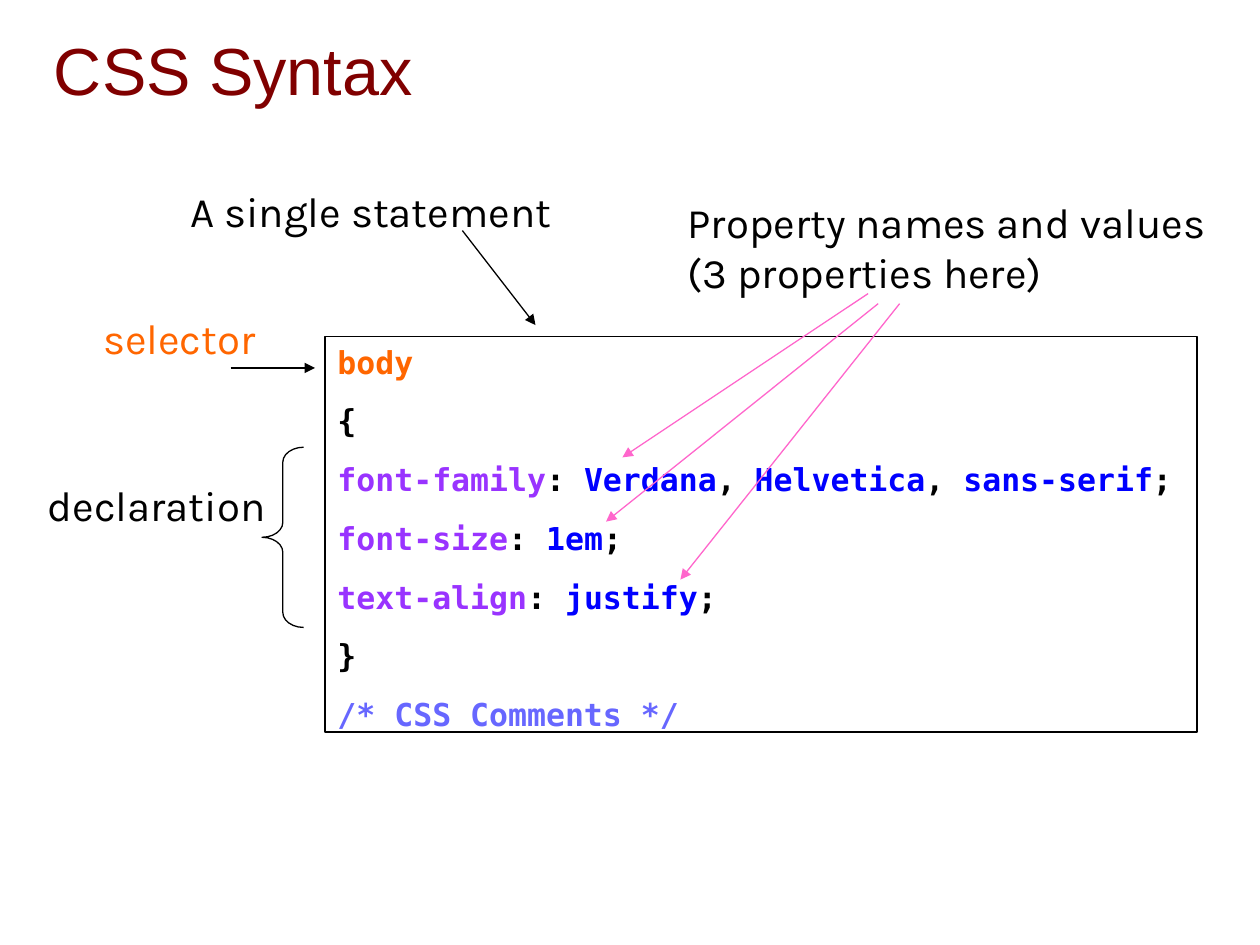
import pptx
import pptx.util
import pptx.dml.color
import pptx.enum.shapes
import pptx.enum.text
import pptx.oxml
import pptx.oxml.ns

Inches, Pt = pptx.util.Inches, pptx.util.Pt
RGB = pptx.dml.color.RGBColor
Kind = pptx.enum.shapes.MSO_SHAPE
Fit = pptx.enum.text.MSO_AUTO_SIZE

BLACK = RGB(0x00, 0x00, 0x00)
WHITE = RGB(0xFF, 0xFF, 0xFF)
MAROON = RGB(0x80, 0x00, 0x00)
ORANGE = RGB(0xFF, 0x66, 0x00)
PURPLE = RGB(0x99, 0x33, 0xFF)
BLUE = RGB(0x00, 0x00, 0xFF)
LILAC = RGB(0x67, 0x67, 0xFF)
PINK = RGB(0xFF, 0x66, 0xCC)

deck = pptx.Presentation()
deck.slide_width, deck.slide_height = Inches(10), Inches(7.5)
slide = deck.slides.add_slide(deck.slide_layouts[6])
shapes = slide.shapes


def label(text, place, size, face, color, wrap=True):
    box = shapes.add_textbox(*map(Inches, place))
    frame = box.text_frame
    frame.word_wrap = wrap
    frame.text = text
    font = frame.paragraphs[0].runs[0].font
    font.size, font.name = Pt(size), face
    font.color.rgb = color
    return frame


def arrow(start, end, color):
    line = shapes.add_connector(
        pptx.enum.shapes.MSO_CONNECTOR.STRAIGHT, *map(Inches, start + end))
    line.line.width = Pt(0.75)
    line.line.color.rgb = color
    ln = line.line._get_or_add_ln()
    tip = pptx.oxml.parse_xml(
        '<a:tailEnd %s type="triangle"/>' % pptx.oxml.ns.nsdecls("a"))
    ln.append(tip)
    ln.addnext(pptx.oxml.parse_xml(
        "<a:effectLst %s/>" % pptx.oxml.ns.nsdecls("a")))


# Title
title = label("CSS Syntax", (0.33, 0.18, 9.42, 0.74), 38, "Arial", MAROON)
title.vertical_anchor = pptx.enum.text.MSO_ANCHOR.MIDDLE

# Code panel: each line is a list of coloured pieces
code = [
    [("body", ORANGE)],
    [("{", BLACK)],
    [("font-family", PURPLE), (": ", BLACK), ("Verdana", BLUE), (", ", BLACK),
     ("Helvetica", BLUE), (", ", BLACK), ("sans-serif", BLUE), (";", BLACK)],
    [("font-size", PURPLE), (": ", BLACK), ("1em", BLUE), (";", BLACK)],
    [("text-align", PURPLE), (": ", BLACK), ("justify", BLUE), (";", BLACK)],
    [("}", BLACK)],
    [("/* CSS Comments */", LILAC)],
]
panel = shapes.add_shape(
    Kind.RECTANGLE, *map(Inches, (2.58, 2.67, 6.92, 3.14)))
panel.shadow.inherit = False
panel.fill.solid()
panel.fill.fore_color.rgb = WHITE
panel.line.color.rgb = BLACK
panel.line.width = Pt(0.75)
frame = panel.text_frame
frame.word_wrap = True
frame.vertical_anchor = pptx.enum.text.MSO_ANCHOR.TOP
for row, parts in enumerate(code):
    para = frame.add_paragraph() if row else frame.paragraphs[0]
    para.alignment = pptx.enum.text.PP_ALIGN.LEFT
    para.space_before = Pt(12 if row else 0)
    for text, color in parts:
        run = para.add_run()
        run.text = text
        run.font.name, run.font.size = "DejaVu Sans Mono", Pt(18)
        run.font.bold = True
        run.font.color.rgb = color

# Brace beside the declaration lines
brace = shapes.add_shape(
    Kind.LEFT_BRACE, *map(Inches, (2.08, 3.55, 0.33, 1.43)))
brace.shadow.inherit = False
brace.adjustments[0] = 0.36
brace.fill.background()
brace.line.color.rgb = BLACK
brace.line.width = Pt(0.75)

# Labels
for text, place, color, wrap in [
    ("A single statement", (1.41, 1.42, 3.12, 0.5), BLACK, False),
    ("selector", (0.72, 2.43, 1.44, 0.5), ORANGE, False),
    ("declaration", (0.28, 3.76, 1.96, 0.5), BLACK, False),
    ("Property names and values (3 properties here)",
     (5.36, 1.51, 4.5, 0.9), BLACK, True),
]:
    note = label(text, place, 24, "Karla", color, wrap)
    note.auto_size = Fit.SHAPE_TO_FIT_TEXT

# Arrows from the labels into the code
for start, end, color in [
    ((3.67, 1.83), (4.25, 2.58), BLACK),
    ((1.83, 2.92), (2.5, 2.92), BLACK),
    ((7.14, 2.41), (5.4, 4.6), PINK),
    ((6.97, 2.41), (4.81, 4.14), PINK),
    ((6.89, 2.33), (4.94, 3.63), PINK),
]:
    arrow(start, end, color)

deck.save("out.pptx")
